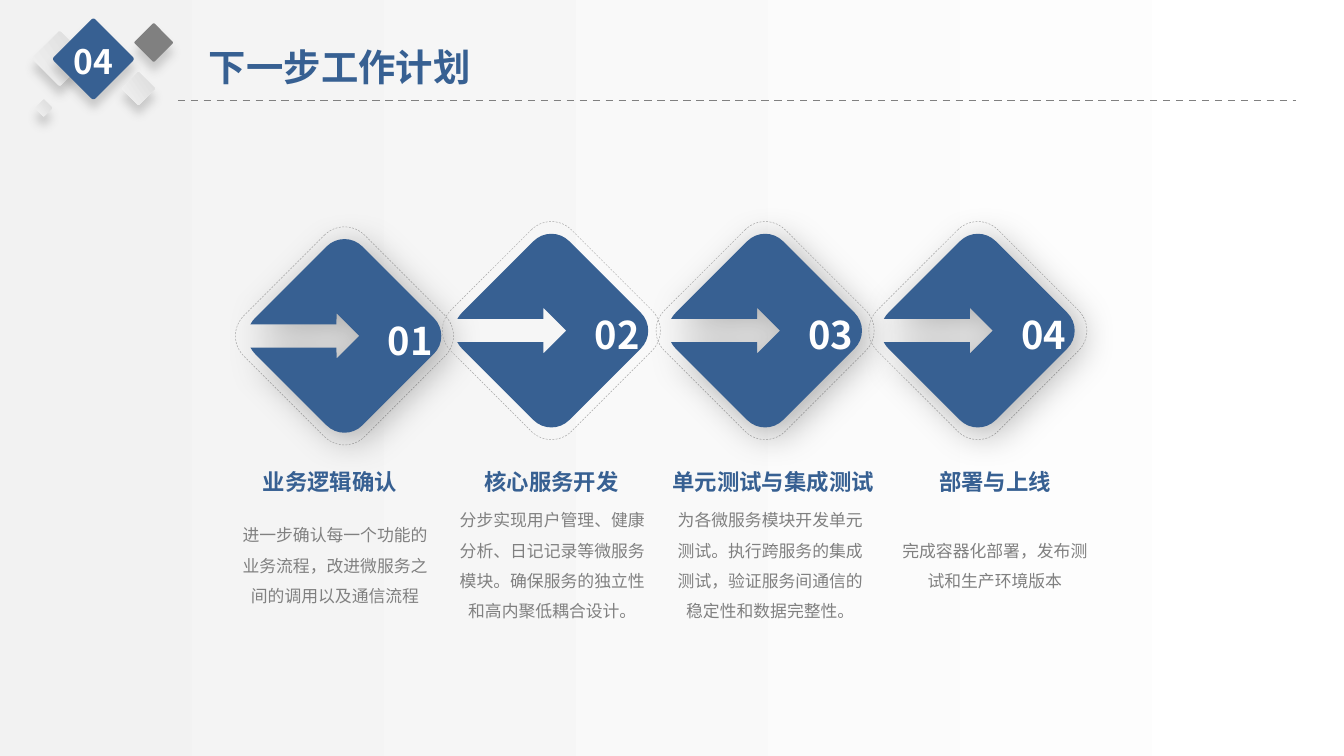
"""Build the next-step work plan slide with four numbered diamonds."""
from dataclasses import dataclass
from math import asin, cos, degrees, radians, sin, sqrt, tan

from lxml.etree import SubElement
from pptx import Presentation
from pptx.dml.color import RGBColor
from pptx.enum.dml import MSO_LINE
from pptx.enum.shapes import MSO_CONNECTOR, MSO_SHAPE
from pptx.enum.text import MSO_ANCHOR, PP_ALIGN
from pptx.oxml.ns import qn
from pptx.util import Cm, Pt

PAGE_WIDTH, PAGE_HEIGHT = 25.4, 14.29


@dataclass(frozen=True)
class Theme:
    font: str = "Noto Sans CJK SC"
    blue: str = "376092"
    gray: str = "808080"
    outline: str = "A6A6A6"
    white: str = "FFFFFF"
    shade: str = "000000"
    badge_shade: str = "595959"
    page: tuple = ("F2F2F2", "FFFFFF")
    silver: tuple = ("F2F2F2", "DBDBDB")
    title_size: float = 20
    badge_size: float = 18
    number_size: float = 20.4
    heading_size: float = 12
    body_size: float = 9


@dataclass(frozen=True)
class Step:
    center: tuple
    heading: str
    body: str
    body_left: float
    body_width: float
    shaded: bool = True


STEPS = [
    Step((6.51, 6.35), "业务逻辑确认",
         "进一步确认每一个功能的业务流程，改进微服务之间的调用以及通信流程", 4.55, 3.56),
    Step((10.42, 6.25), "核心服务开发",
         "分步实现用户管理、健康分析、日记记录等微服务模块。确保服务的独立性和高内聚低耦合设计。",
         8.58, 3.71, shaded=False),
    Step((14.46, 6.25), "单元测试与集成测试",
         "为各微服务模块开发单元测试。执行跨服务的集成测试，验证服务间通信的稳定性和数据完整性。",
         12.7, 3.71),
    Step((18.48, 6.25), "部署与上线",
         "完成容器化部署，发布测试和生产环境版本", 17.02, 3.56),
]


def arc(center_x, center_y, radius, start, end):
    start, end = radians(start), radians(end)
    handle = 4 / 3 * tan((end - start) / 4)

    def point(angle, pull):
        return (center_x + radius * (cos(angle) - pull * sin(angle)),
                center_y + radius * (sin(angle) + pull * cos(angle)))

    return [point(start, 0)], [point(start, handle), point(end, -handle), point(end, 0)]


def arrow_diamond_segments(reach=1.35, radius=0.48, notch=0.22, head=0.43):
    cut = degrees(asin(notch / radius))
    arrow = [(-0.15, notch), (-0.15, head), (0.28, 0), (-0.15, -head), (-0.15, -notch)]
    return [*arc(0, -reach, radius, -135, -45), *arc(reach, 0, radius, -45, 45),
            *arc(0, reach, radius, 45, 135), *arc(-reach, 0, radius, 135, 180 - cut),
            *([point] for point in arrow), *arc(-reach, 0, radius, 180 + cut, 225)]


class PlanSlide:
    def __init__(self, slide, theme):
        self.slide = slide
        self.theme = theme

    def paint(self, fill, color, angle=0):
        if isinstance(color, str):
            fill.solid()
            fill.fore_color.rgb = RGBColor.from_string(color)
            return
        fill.gradient()
        fill.gradient_angle = angle
        for stop, value in zip(fill.gradient_stops, color):
            stop.color.rgb = RGBColor.from_string(value)

    def shadow(self, shape, color, alpha, blur, distance, direction):
        effects = shape._element.spPr.find(qn("a:effectLst"))
        outer = SubElement(effects, qn("a:outerShdw"), blurRad=str(Pt(blur)),
                           dist=str(Pt(distance)), dir=str(direction * 60000),
                           algn="ctr", rotWithShape="0")
        tint = SubElement(outer, qn("a:srgbClr"), val=color)
        SubElement(tint, qn("a:alpha"), val=str(alpha * 1000))

    def stroke(self, line, color, width):
        line.color.rgb = RGBColor.from_string(color)
        line.width = Pt(width)
        line.dash_style = MSO_LINE.DASH

    def box(self, kind, left, top, width, height):
        shape = self.slide.shapes.add_shape(kind, Cm(left), Cm(top), Cm(width), Cm(height))
        shape.shadow.inherit = False
        return shape

    def background(self):
        shape = self.box(MSO_SHAPE.RECTANGLE, 0, 0, PAGE_WIDTH, PAGE_HEIGHT)
        self.paint(shape.fill, self.theme.page)
        shape.line.fill.background()

    def diamond(self, left, top, size):
        shape = self.box(MSO_SHAPE.ROUNDED_RECTANGLE, left, top, size, size)
        shape.rotation = 45
        return shape

    def badge_diamond(self, left, top, size, color):
        shape = self.diamond(left, top, size)
        shape.adjustments[0] = 0.048
        self.paint(shape.fill, color, 80)
        shape.line.fill.background()
        self.shadow(shape, self.theme.badge_shade, 25, 5, 5, 90)

    def dashed_diamond(self, center_x, center_y, size=3.23):
        shape = self.diamond(center_x - size / 2, center_y - size / 2, size)
        shape.fill.background()
        self.stroke(shape.line, self.theme.outline, 0.25)

    def arrow_diamond(self, center_x, center_y, shaded):
        segments = arrow_diamond_segments()
        points = [(Cm(center_x + (x + y) / sqrt(2)), Cm(center_y + (y - x) / sqrt(2)))
                  for segment in segments for x, y in segment]
        builder = self.slide.shapes.build_freeform(*points[0])
        builder.add_line_segments(points[1:], close=True)
        shape = builder.convert_to_shape()
        self.bend(shape, segments[1:])
        shape.rotation = 45
        shape.shadow.inherit = False
        self.paint(shape.fill, self.theme.blue)
        shape.line.fill.background()
        if shaded:
            self.shadow(shape, self.theme.shade, 30, 20, 5, 45)

    def bend(self, shape, segments):
        lines = iter(list(shape._element.spPr.iter(qn("a:lnTo"))))
        for segment in segments:
            group = [next(lines) for _ in segment]
            if len(group) == 3:
                outline = group[0].getparent()
                curve = SubElement(outline, qn("a:cubicBezTo"))
                group[0].addprevious(curve)
                for line in group:
                    curve.append(line[0])
                    outline.remove(line)

    def dashed_line(self, left, right, top):
        connector = self.slide.shapes.add_connector(
            MSO_CONNECTOR.STRAIGHT, Cm(left), Cm(top), Cm(right), Cm(top))
        self.stroke(connector.line, self.theme.gray, 1)
        SubElement(connector._element.spPr, qn("a:effectLst"))

    def text(self, content, *, box, size, color, bold=True, align=PP_ALIGN.LEFT,
             wrap=False, tight=False, spacing=None):
        frame = self.slide.shapes.add_textbox(*map(Cm, box)).text_frame
        frame.word_wrap = wrap
        if tight:
            frame.margin_left = frame.margin_right = 0
            frame.margin_top = frame.margin_bottom = 0
            frame.vertical_anchor = MSO_ANCHOR.MIDDLE
        paragraph = frame.paragraphs[0]
        paragraph.alignment = align
        if spacing:
            paragraph.line_spacing = spacing
        run = paragraph.add_run()
        run.text = content
        run.font.name = self.theme.font
        run.font.size = Pt(size)
        run.font.bold = bold
        run.font.color.rgb = RGBColor.from_string(color)
        SubElement(run._r.rPr, qn("a:ea"), typeface=self.theme.font)

    def header(self, number, title):
        theme = self.theme
        self.dashed_line(3.36, 24.5, 1.9)
        self.text(title, box=(3.7, 0.71, 5.51, 1.12), size=theme.title_size, color=theme.blue)
        for left, top, size, color in [
            (0.76, 0.74, 0.74, theme.silver), (1.21, 0.56, 1.11, theme.blue),
            (2.64, 0.54, 0.53, theme.gray), (2.39, 1.45, 0.45, theme.silver),
            (0.71, 1.93, 0.23, theme.silver),
        ]:
            self.badge_diamond(left, top, size, color)
        self.text(number, box=(1.12, 0.64, 1.3, 1.02), size=theme.badge_size,
                  color=theme.white, align=PP_ALIGN.CENTER)

    def step(self, number, step):
        theme = self.theme
        center_x, center_y = step.center
        self.dashed_diamond(center_x, center_y)
        self.arrow_diamond(center_x, center_y, step.shaded)
        self.text(f"{number:02}", box=(center_x + 0.57, center_y - 0.48, 1.4, 0.97),
                  size=theme.number_size, color=theme.white)
        self.text(step.heading, box=(4.19 * number, 8.81, 4.09, 0.58), size=theme.heading_size,
                  color=theme.blue, align=PP_ALIGN.CENTER, tight=True)
        self.text(step.body, box=(step.body_left, 10, step.body_width, 1.19),
                  size=theme.body_size, color=theme.gray, bold=False,
                  align=PP_ALIGN.CENTER, wrap=True, tight=True, spacing=1.5)


def main():
    presentation = Presentation()
    presentation.slide_width, presentation.slide_height = Cm(PAGE_WIDTH), Cm(PAGE_HEIGHT)
    plan = PlanSlide(presentation.slides.add_slide(presentation.slide_layouts[6]), Theme())
    plan.background()
    for number, step in enumerate(STEPS, start=1):
        plan.step(number, step)
    plan.header("04", "下一步工作计划")
    presentation.save("out.pptx")


if __name__ == "__main__":
    main()
